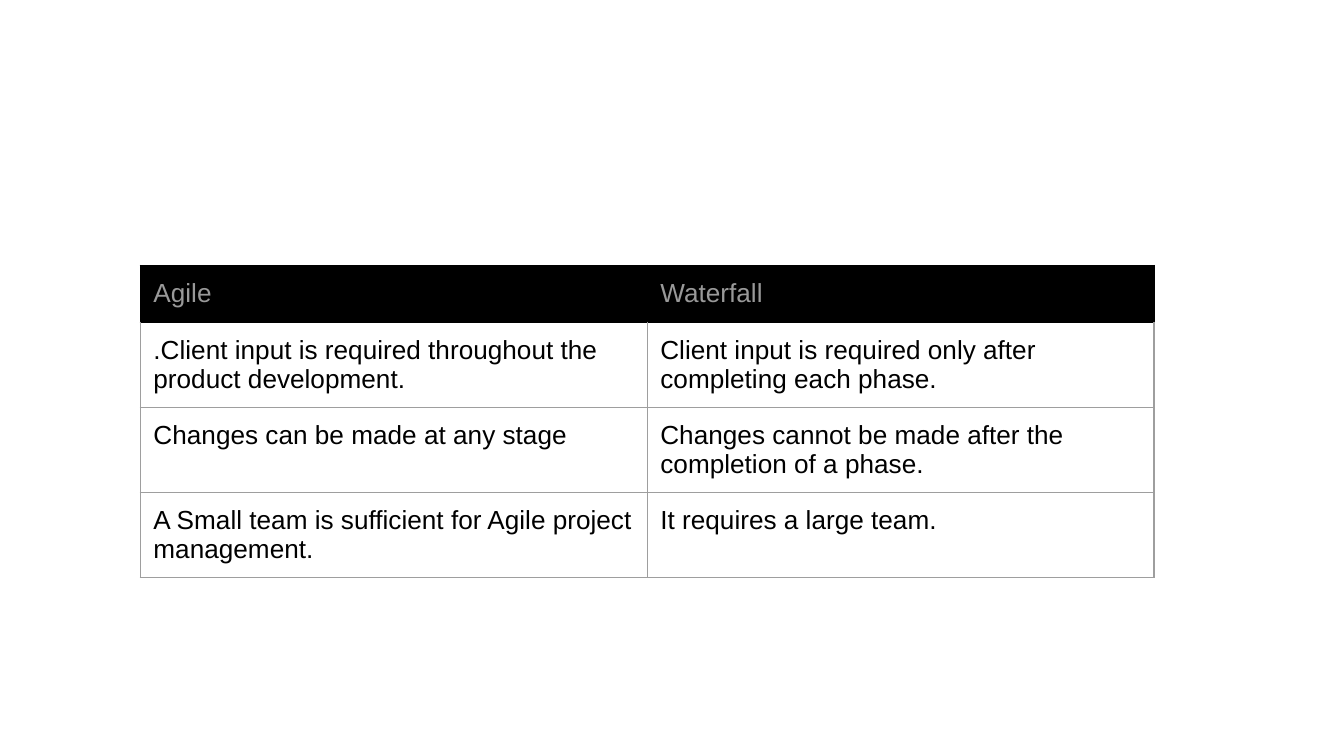
from dataclasses import dataclass

from lxml import etree
from pptx import Presentation
from pptx.dml.color import RGBColor
from pptx.oxml.ns import qn
from pptx.util import Cm, Pt

BLANK_LAYOUT = 6


@dataclass(frozen=True)
class Theme:
    font: str = "Arial"
    text_size: float = 14
    header_text: str = "999999"
    header_fill: str = "000000"
    body_text: str = "000000"
    grid: str = "9E9E9E"
    border_width: float = 0.75


THEME = Theme()

COMPARISON = [
    ("Agile", "Waterfall"),
    (".Client input is required throughout the product development.",
     "Client input is required only after completing each phase."),
    ("Changes can be made at any stage",
     "Changes cannot be made after the completion of a phase."),
    ("A Small team is sufficient for Agile project management.",
     "It requires a large team."),
]


def set_borders(cell, colors):
    """Draw the cell's sides; colors maps L, R, T, B (in that order) to a colour."""
    properties = cell._tc.get_or_add_tcPr()
    for side, color in colors.items():
        line = etree.SubElement(properties, qn(f"a:ln{side}"),
                                w=str(Pt(THEME.border_width)))
        fill = etree.SubElement(line, qn("a:solidFill"))
        etree.SubElement(fill, qn("a:srgbClr"), val=color)


def format_cell(cell, statement, row):
    is_header = row == 0
    margin = Cm(0.25)
    cell_format = {"text": statement, "margin_left": margin, "margin_right": margin,
                   "margin_top": margin, "margin_bottom": margin}
    for attribute, value in cell_format.items():
        setattr(cell, attribute, value)

    # The first body row shares its top border with the header
    side_color = THEME.header_fill if is_header else THEME.grid
    top_color = THEME.header_fill if row <= 1 else THEME.grid
    set_borders(cell, {"L": side_color, "R": side_color,
                       "T": top_color, "B": side_color})

    if is_header:
        cell.fill.solid()
        cell.fill.fore_color.rgb = RGBColor.from_string(THEME.header_fill)
    else:
        cell.fill.background()

    font = cell.text_frame.paragraphs[0].runs[0].font
    for attribute, value in {"name": THEME.font, "size": Pt(THEME.text_size)}.items():
        setattr(font, attribute, value)
    font.color.rgb = RGBColor.from_string(
        THEME.header_text if is_header else THEME.body_text)


def add_comparison(slide, left, top, width, height):
    """Place the Agile and Waterfall comparison in the given box."""
    comparison = slide.shapes.add_table(
        len(COMPARISON), len(COMPARISON[0]), left, top, width, height).table
    for attribute, value in {"first_row": False, "horz_banding": False}.items():
        setattr(comparison, attribute, value)
    for row, statements in enumerate(COMPARISON):
        for column, statement in enumerate(statements):
            format_cell(comparison.cell(row, column), statement, row)


def main():
    deck = Presentation()
    deck.slide_width, deck.slide_height = Cm(25.4), Cm(14.29)
    slide = deck.slides.add_slide(deck.slide_layouts[BLANK_LAYOUT])
    # Rows grow from this height to fit their text
    add_comparison(slide, Cm(2.65), Cm(5.02), Cm(19.16), Cm(4.28))
    deck.save("out.pptx")


if __name__ == "__main__":
    main()
